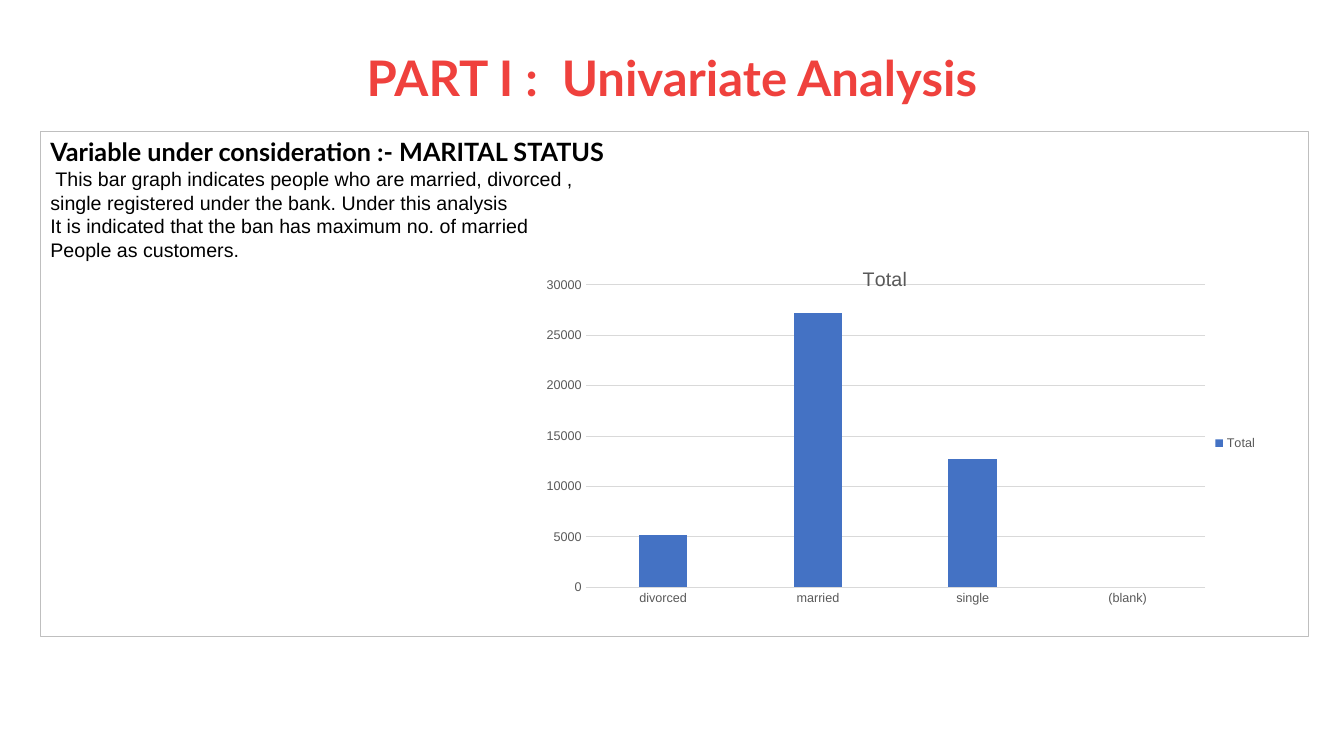
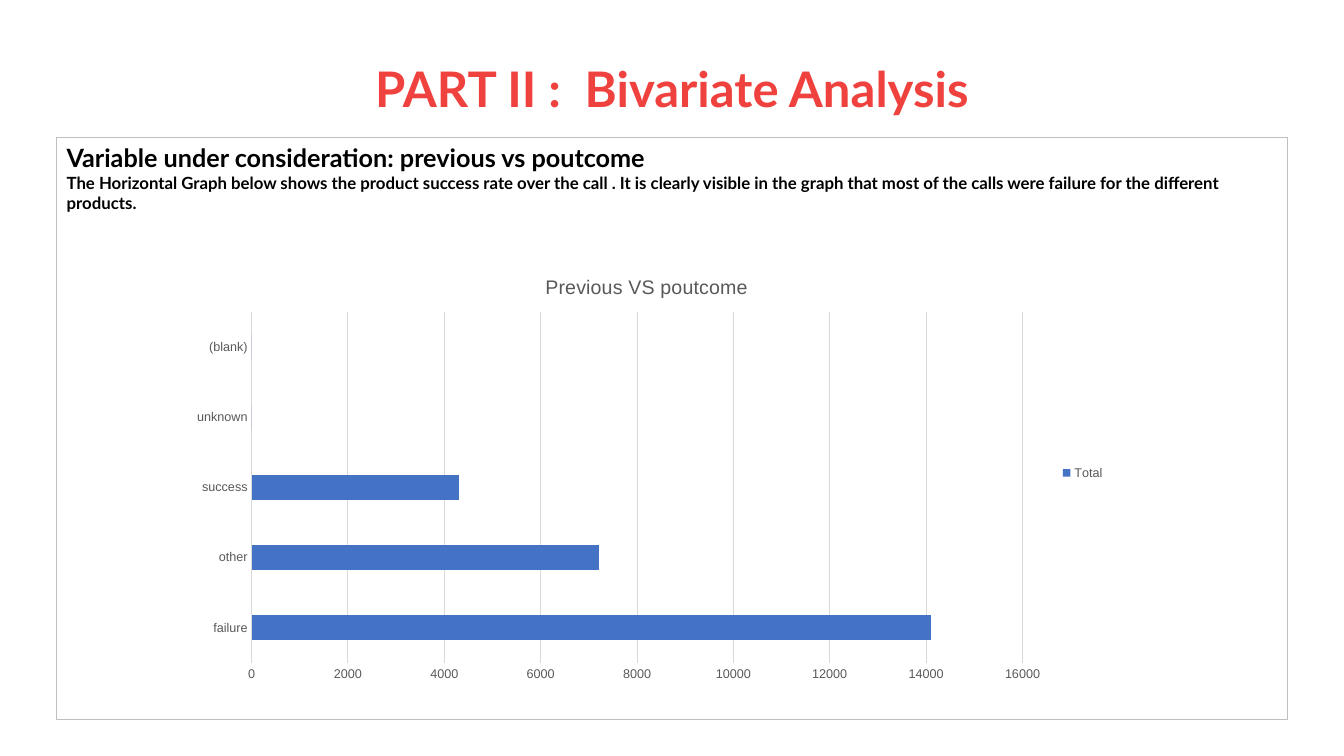
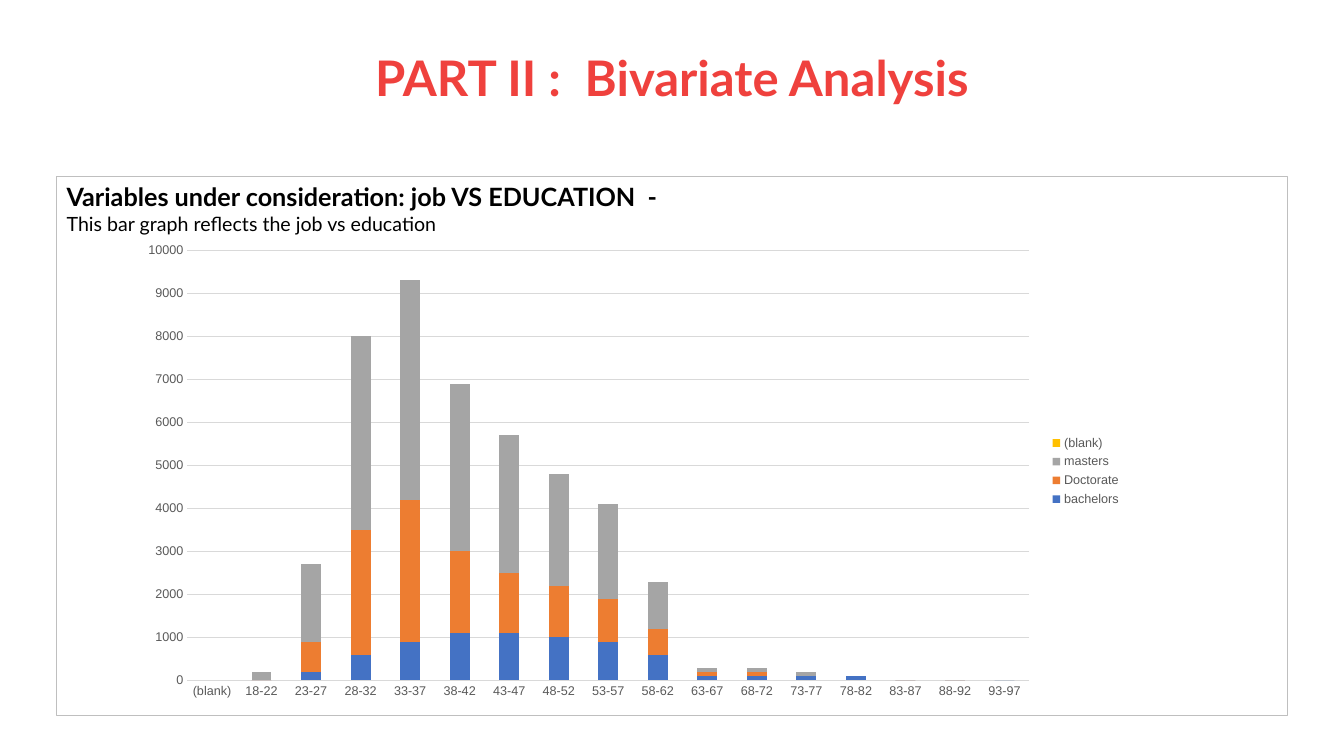
from dataclasses import dataclass

from lxml.etree import SubElement
from pptx import Presentation
from pptx.chart.data import CategoryChartData
from pptx.dml.color import RGBColor
from pptx.enum.chart import XL_CHART_TYPE, XL_LEGEND_POSITION, XL_TICK_MARK
from pptx.enum.shapes import MSO_SHAPE
from pptx.enum.text import MSO_ANCHOR, PP_ALIGN
from pptx.oxml.ns import qn
from pptx.util import Cm, Pt


@dataclass(frozen=True)
class Theme:
    # Colours
    red: str = "EF413D"
    ink: str = "000000"
    gray: str = "595959"
    edge: str = "BFBFBF"
    grid: str = "D9D9D9"
    fills: tuple = ("4472C4", "ED7D31", "A5A5A5", "FFC000")
    # Fonts and type sizes
    head: str = "Lato"
    body: str = "Arial"
    big: int = 35
    lead: int = 18
    text: int = 14
    note: int = 12
    tick: int = 9


THEME = Theme()


def style(font, size, color, face, bold=False):
    font.size, font.name, font.bold = Pt(size), face, bold
    font.color.rgb = RGBColor.from_string(color)


def write(frame, text, size=THEME.text, color=THEME.ink, face=THEME.head,
          bold=False, align=PP_ALIGN.LEFT, space=1.0, first=False):
    """Add one paragraph, or fill the opening one."""
    para = frame.paragraphs[0] if first else frame.add_paragraph()
    para.alignment, para.line_spacing = align, space
    run = para.add_run()
    run.text = text
    style(run.font, size, color, face, bold)


def stroke(line, color):
    line.color.rgb = RGBColor.from_string(color)
    line.width = Pt(0.75)


class Deck:
    def __init__(self, theme):
        self.theme = theme
        self.prs = Presentation()
        self.prs.slide_width, self.prs.slide_height = Cm(33.87), Cm(19.05)
        self.slide = None

    def page(self, title, top):
        """Start a slide with its title."""
        self.slide = self.prs.slides.add_slide(self.prs.slide_layouts[6])
        box = self.slide.shapes.add_textbox(
            Cm(2.33), Cm(top), Cm(29.21), Cm(2.77))
        frame = box.text_frame
        frame.word_wrap = True
        frame.vertical_anchor = MSO_ANCHOR.MIDDLE
        write(frame, title, size=self.theme.big, color=self.theme.red,
              bold=True, align=PP_ALIGN.CENTER, space=0.9, first=True)

    def panel(self, area, lead, lines, **form):
        """Outlined box with a bold lead and lines of text."""
        box = self.slide.shapes.add_shape(MSO_SHAPE.RECTANGLE, *map(Cm, area))
        box.shadow.inherit = False
        box.fill.background()
        stroke(box.line, self.theme.edge)
        frame = box.text_frame
        frame.word_wrap = True
        frame.vertical_anchor = MSO_ANCHOR.TOP
        write(frame, lead, size=self.theme.lead, bold=True, first=True)
        for line in lines:
            write(frame, line, **form)

    def chart(self, kind, area, plot, cats, rows, top, step, gap, lap=0,
              title=None):
        """Bar chart; area and plot are both places on the slide."""
        look = self.theme
        data = CategoryChartData()
        data.categories = cats
        for name, vals in rows:
            data.add_series(name, vals)
        chart = self.slide.shapes.add_chart(kind, *map(Cm, area), data).chart
        style(chart.font, look.tick, look.gray, look.body)

        # Title and legend
        chart.has_title = title is not None
        if title:
            write(chart.chart_title.text_frame, title, color=look.gray,
                  face=look.body, align=PP_ALIGN.CENTER, first=True)
        chart.has_legend = True
        chart.legend.position = XL_LEGEND_POSITION.RIGHT
        chart.legend.include_in_layout = False
        style(chart.legend.font, look.tick, look.gray, look.body)

        # Axes
        for axis in (chart.category_axis, chart.value_axis):
            axis.major_tick_mark = axis.minor_tick_mark = XL_TICK_MARK.NONE
            style(axis.tick_labels.font, look.tick, look.gray, look.body)
        stroke(chart.category_axis.format.line, look.grid)
        scale = chart.value_axis
        scale.minimum_scale, scale.maximum_scale = 0, top
        scale.major_unit = step
        scale.format.line.fill.background()
        scale.has_major_gridlines = True
        stroke(scale.major_gridlines.format.line, look.grid)

        # Bars
        bars = chart.plots[0]
        bars.vary_by_categories = False
        bars.gap_width, bars.overlap = gap, lap
        for row, fill in zip(bars.series, look.fills):
            row.format.fill.solid()
            row.format.fill.fore_color.rgb = RGBColor.from_string(fill)
            row.invert_if_negative = False
        self.fit(chart, area, plot)

    def fit(self, chart, area, plot):
        """Pin the inner plot as parts of the chart area."""
        left, top, wide, high = area
        x, y, w, h = plot
        parts = ((x - left) / wide, (y - top) / high, w / wide, h / high)
        zone = chart.plots[0]._element.getparent()
        for old in zone.findall(qn("c:layout")):
            zone.remove(old)
        lay = SubElement(zone, qn("c:layout"))
        zone.insert(0, lay)
        man = SubElement(lay, qn("c:manualLayout"))
        pairs = [("layoutTarget", "inner"), ("xMode", "edge"),
                 ("yMode", "edge"), *zip("xywh", parts)]
        for tag, val in pairs:
            SubElement(man, qn("c:" + tag)).set("val", str(val))


def main():
    deck = Deck(THEME)

    # Marital status
    deck.page("PART I :  Univariate Analysis", 0.64)
    deck.panel(
        (1.02, 3.32, 31.95, 12.73),
        "Variable under consideration :- MARITAL STATUS",
        [" This bar graph indicates people who are married, divorced ,",
         "single registered under the bank. Under this analysis",
         "It is indicated that the ban has maximum no. of married",
         "People as customers."],
        face=THEME.body)
    deck.chart(
        XL_CHART_TYPE.COLUMN_CLUSTERED, (12.66, 6.3, 19.28, 9.73),
        (14.76, 7.18, 15.61, 7.62),
        ["divorced", "married", "single", "(blank)"],
        [("Total", [5200, 27200, 12700, None])],
        top=30000, step=5000, gap=219, lap=-27, title="Total")

    # Call outcome
    deck.page("PART II :  Bivariate Analysis", 0.93)
    deck.panel(
        (1.43, 3.47, 31.01, 14.66),
        "Variable under consideration: previous vs poutcome",
        ["The Horizontal Graph below shows the product success rate over the "
         "call . It is clearly visible in the graph that most of the calls "
         "were failure for the different products."],
        size=THEME.note, bold=True)
    deck.chart(
        XL_CHART_TYPE.BAR_CLUSTERED, (4.5, 6.46, 23.6, 10.92),
        (6.34, 7.86, 19.43, 8.85),
        ["failure", "other", "success", "unknown", "(blank)"],
        [("Total", [14100, 7200, 4300, 0, 0])],
        top=16000, step=2000, gap=182, title="Previous VS poutcome")

    # Job and education
    deck.page("PART II :  Bivariate Analysis", 0.64)
    deck.panel(
        (1.43, 4.45, 31.01, 13.59),
        "Variables under consideration: job VS EDUCATION  -",
        ["This bar graph reflects the job vs education"])
    ages = [f"{age}-{age + 4}" for age in range(18, 94, 5)]
    deck.chart(
        XL_CHART_TYPE.COLUMN_STACKED, (3.24, 5.89, 25.27, 11.96),
        (4.72, 6.31, 21.22, 10.84),
        ["(blank)", *ages],
        [("bachelors", [None, 0, 200, 600, 900, 1100, 1100, 1000, 900, 600,
                        100, 100, 100, 100, 0, 0, 0]),
         ("Doctorate", [None, 0, 700, 2900, 3300, 1900, 1400, 1200, 1000,
                        600, 100, 100, 0, 0, 0, 0, None]),
         ("masters", [None, 200, 1800, 4500, 5100, 3900, 3200, 2600, 2200,
                      1100, 100, 100, 100, 0, 0, 0, 0]),
         ("(blank)", [None] * 17)],
        top=10000, step=1000, gap=150, lap=100)

    deck.prs.save("out.pptx")


if __name__ == "__main__":
    main()
